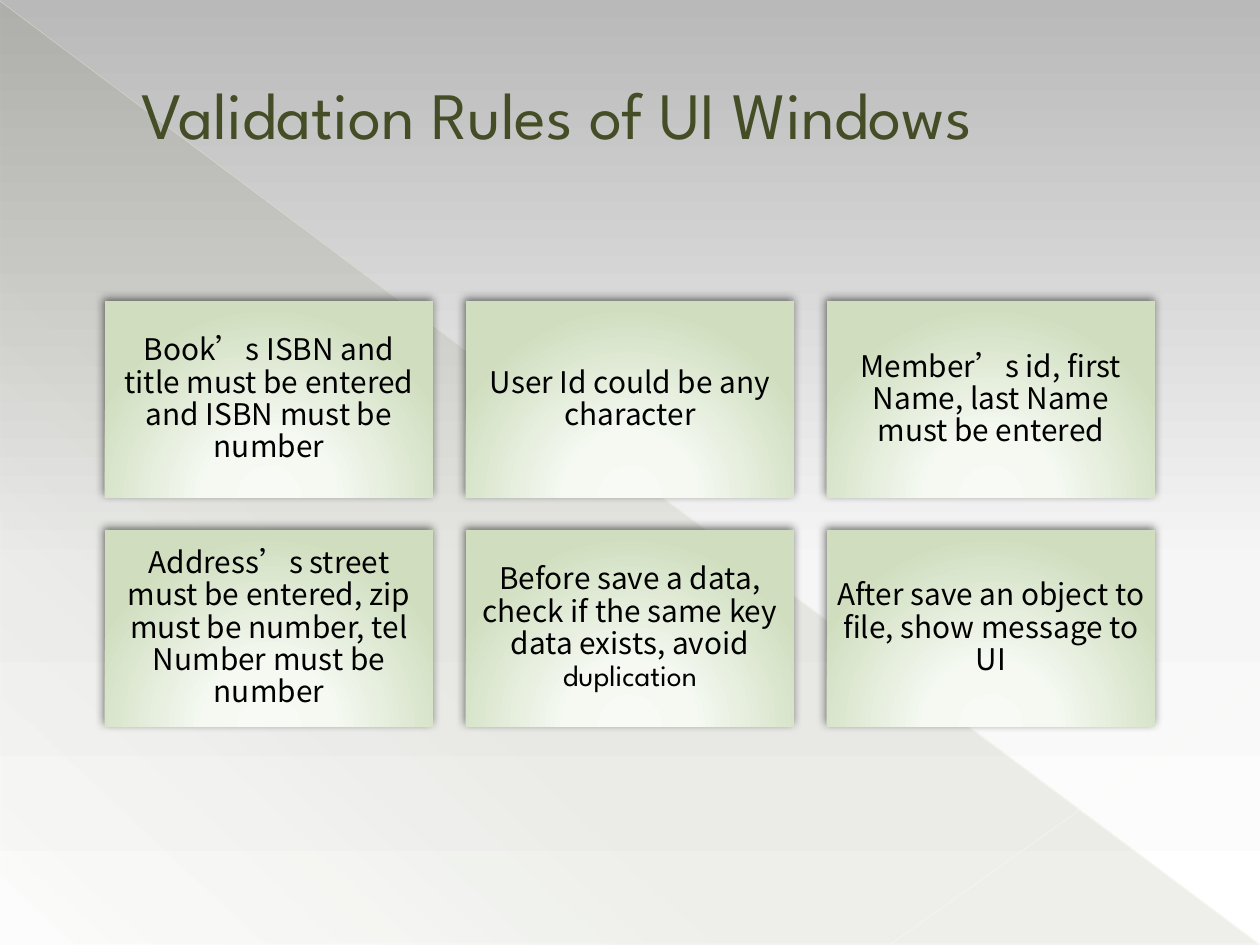
from dataclasses import dataclass

from lxml import etree
from pptx import Presentation
from pptx import util as u
from pptx.dml.color import RGBColor
from pptx.enum import shapes, text
from pptx.oxml import parse_xml
from pptx.oxml.ns import nsdecls, qn


@dataclass(frozen=True)
class Theme:
    """Colours, fonts and type sizes of the deck."""
    olive: str = "444D26"
    ink: str = "000000"
    head_font: str = "League Spartan"
    body_font: str = "Noto Sans CJK SC"
    head_size: float = 37.8
    body_size: float = 17
    backdrop: tuple = ((0, "B9B9B9", 100), (60, "F6F6F6", 100), (100, "FFFFFF", 100))
    wedge: tuple = ((0, "444D26", 10), (70, "444D26", 8), (100, "444D26", 1))
    card: tuple = ((0, "F8FBF5", 100), (34, "F5F9F2", 100), (100, "D0DEBF", 100))


THEME = Theme()
GLOW = ('<a:path path="circle"><a:fillToRect l="50000" t="155000" '
        'r="50000" b="-55000"/></a:path>')
RULES = [
    ["Book’s ISBN and title must be entered and ISBN must be number"],
    ["User Id could be any character"],
    ["Member’s id, first Name, last Name must be entered"],
    ["Address’s street must be entered, zip must be number, tel Number must be number"],
    ["Before save a data, check if the same key data exists, avoid ", "duplication"],
    ["After save an object to file, show message to UI"],
]


def px(n):
    """Turn pixels into EMU."""
    return u.Emu(round(n * 914400 / 126))


def linear(angle):
    """Return the XML of a linear gradient direction."""
    return f'<a:lin ang="{angle * 60000}" scaled="0"/>'


def set_gradient(fill, owner, stops, direction):
    """Give a fill inside its owner element a gradient with transparency."""
    fill.solid()
    old = next(owner.iter(qn("a:solidFill")))
    marks = "".join(
        f'<a:gs pos="{pos * 1000}"><a:srgbClr val="{color}">'
        f'<a:alpha val="{alpha * 1000}"/></a:srgbClr></a:gs>'
        for pos, color, alpha in stops)
    new = parse_xml(f'<a:gradFill {nsdecls("a")} rotWithShape="1">'
                    f'<a:gsLst>{marks}</a:gsLst>{direction}</a:gradFill>')
    old.getparent().replace(old, new)


def add_run(p, words, *, font, size, color):
    """Add a formatted run to a paragraph."""
    r = p.add_run()
    r.text = words
    r.font.name = font
    r.font.size = u.Pt(size)
    r.font.color.rgb = RGBColor.from_string(color)
    etree.SubElement(r.font._element, qn("a:ea")).set("typeface", font)


def add_panel(slide, kind, box, stops, direction):
    """Add a borderless gradient shape."""
    sp = slide.shapes.add_shape(kind, *map(px, box))
    sp.shadow.inherit = False
    sp.line.fill.background()
    set_gradient(sp.fill, sp._element.spPr, stops, direction)
    return sp


def add_hairline(slide, start, end, *, color, width, alpha):
    """Add a thin translucent line."""
    line = slide.shapes.add_connector(
        shapes.MSO_CONNECTOR.STRAIGHT, *map(px, start + end))
    line.line.width = u.Pt(width)
    line.line.color.rgb = RGBColor.from_string(color)
    props = line._element.spPr
    shade = next(props.iter(qn("a:srgbClr")))
    etree.SubElement(shade, qn("a:alpha")).set("val", str(alpha * 1000))
    etree.SubElement(props, qn("a:effectLst"))


def add_backdrop(slide):
    """Add the background gradient, the wedge and its edge lines."""
    set_gradient(slide.background.fill, slide._element, THEME.backdrop, linear(90))
    add_panel(slide, shapes.MSO_SHAPE.RIGHT_TRIANGLE, (1, 2, 1258, 942),
              THEME.wedge, linear(133))
    add_hairline(slide, (0, 1), (1259, 944), color="FFFDE3", width=0.39, alpha=35)
    add_hairline(slide, (1260, 682), (891, 944), color="FFFDE6", width=0.47, alpha=45)


def add_title(slide, words):
    """Add the slide title."""
    tf = slide.shapes.add_textbox(*map(px, (63, 37, 1134, 152))).text_frame
    tf.word_wrap = True
    tf.vertical_anchor = text.MSO_ANCHOR.MIDDLE
    tf.margin_left = px(79)
    add_run(tf.paragraphs[0], words, font=THEME.head_font,
            size=THEME.head_size, color=THEME.olive)


def add_card(slide, left, top, parts):
    """Add a shadowed rule card; a second part takes the heading font."""
    sp = add_panel(slide, shapes.MSO_SHAPE.RECTANGLE, (left, top, 328, 197),
                   THEME.card, GLOW)
    effects = sp._element.spPr.find(qn("a:effectLst"))
    effects.append(parse_xml(
        f'<a:outerShdw {nsdecls("a")} blurRad="{u.Pt(5)}" dist="{u.Pt(2)}" '
        f'dir="{245 * 60000}" algn="ctr" rotWithShape="0">'
        f'<a:srgbClr val="{THEME.ink}"><a:alpha val="50000"/></a:srgbClr></a:outerShdw>'))
    tf = sp.text_frame
    tf.word_wrap = True
    tf.vertical_anchor = text.MSO_ANCHOR.MIDDLE
    tf.margin_left = tf.margin_right = tf.margin_top = tf.margin_bottom = px(9)
    p = tf.paragraphs[0]
    p.alignment = text.PP_ALIGN.CENTER
    p.line_spacing = 0.9
    for words, font in zip(parts, (THEME.body_font, THEME.head_font)):
        add_run(p, words, font=font, size=THEME.body_size, color=THEME.ink)


def main():
    """Build and save the slide."""
    prs = Presentation()
    prs.slide_width, prs.slide_height = px(1260), px(945)
    slide = prs.slides.add_slide(prs.slide_layouts[6])
    add_backdrop(slide)
    for i, parts in enumerate(RULES):
        row, col = divmod(i, 3)
        add_card(slide, 105 + col * 361, 301 + row * 229, parts)
    add_title(slide, "Validation Rules of UI Windows")
    prs.save("out.pptx")


if __name__ == "__main__":
    main()
